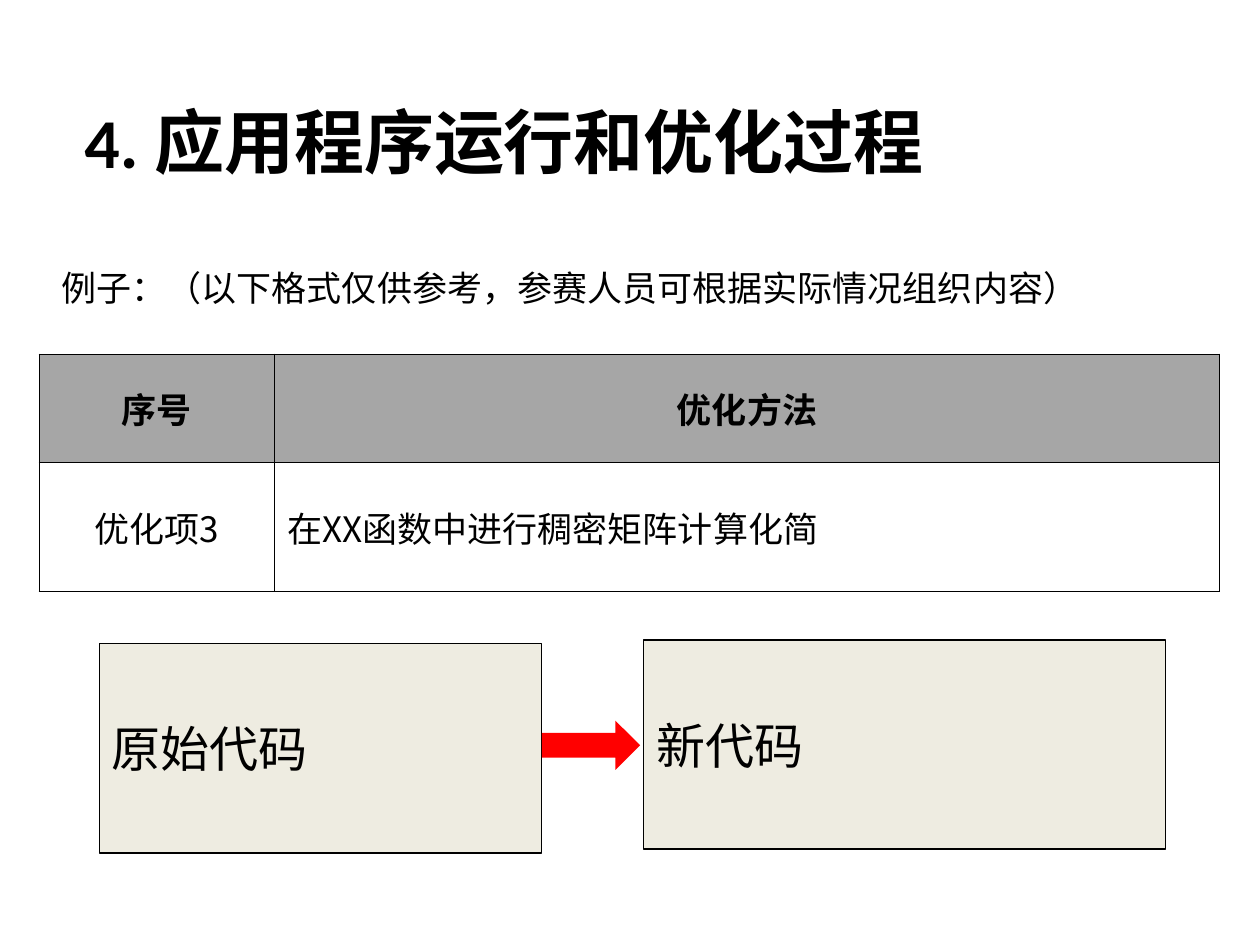
import pptx
import pptx.util
import pptx.dml.color
import pptx.enum.shapes
import pptx.enum.text
import pptx.oxml.ns
import lxml.etree

COLORS = {"ink": "000000", "paper": "FFFFFF", "header": "A6A6A6", "code": "EEECE1", "arrow": "FF0000"}
CJK_FONT = "Noto Sans CJK SC"
LATIN_FONT = "Calibri"
rgb = {part: pptx.dml.color.RGBColor.from_string(value) for part, value in COLORS.items()}
ALIGN = pptx.enum.text.PP_ALIGN
MIDDLE = pptx.enum.text.MSO_ANCHOR.MIDDLE
PRESETS = pptx.enum.shapes.MSO_SHAPE
qn = pptx.oxml.ns.qn

presentation = pptx.Presentation()
presentation.slide_width = pptx.util.Inches(10)
presentation.slide_height = pptx.util.Inches(7.5)
slide = presentation.slides.add_slide(presentation.slide_layouts[5])


def area(left, top, width, height):
    across, down = presentation.slide_width / 100, presentation.slide_height / 100
    return [int(left * across), int(top * down), int(width * across), int(height * down)]


def write(frame, text, size, latin=CJK_FONT, bold=False, align=ALIGN.LEFT):
    frame.text = text
    frame.word_wrap = True
    paragraph = frame.paragraphs[0]
    paragraph.alignment = align
    for run in paragraph.runs:
        run.font.size = pptx.util.Pt(size)
        run.font.name = latin
        run.font.bold = bold
        run.font.color.rgb = rgb["ink"]
        east_asian = lxml.etree.SubElement(run.font._element, qn("a:ea"))
        east_asian.set("typeface", CJK_FONT)
    return paragraph


heading = slide.shapes.title
heading.left, heading.top, heading.width, heading.height = area(5.7, 10.13, 90, 9.47)
write(heading.text_frame, "4. 应用程序运行和优化过程", 40, LATIN_FONT, bold=True)
heading.text_frame.vertical_anchor = MIDDLE
heading.text_frame.auto_size = pptx.enum.text.MSO_AUTO_SIZE.NONE

example = slide.shapes.add_textbox(*area(3.9, 25.33, 92.2, 8))
example_line = write(example.text_frame, "例子：（以下格式仅供参考，参赛人员可根据实际情况组织内容）", 20)
example_line.line_spacing = 1.5
example.text_frame.vertical_anchor = MIDDLE
example.text_frame.auto_size = pptx.enum.text.MSO_AUTO_SIZE.SHAPE_TO_FIT_TEXT

methods = [["序号", "优化方法"], ["优化项3", "在XX函数中进行稠密矩阵计算化简"]]
methods_table = slide.shapes.add_table(2, 2, *area(3.1, 37.47, 93.7, 25.07)).table
for column, share in zip(methods_table.columns, [18.7, 75]):
    column.width = int(presentation.slide_width * share / 100)
for row, share in zip(methods_table.rows, [11.47, 13.6]):
    row.height = int(presentation.slide_height * share / 100)

for row_index, entries in enumerate(methods):
    for column_index, entry in enumerate(entries):
        cell = methods_table.cell(row_index, column_index)
        is_header = row_index == 0
        centred = is_header or column_index == 0
        line = write(cell.text_frame, entry, 20, bold=is_header, align=ALIGN.CENTER if centred else ALIGN.LEFT)
        if not is_header and column_index == 0:
            line.space_before = line.space_after = pptx.util.Pt(6)
        cell.vertical_anchor = MIDDLE
        cell.margin_left = cell.margin_right = pptx.util.Inches(0.1)
        properties = cell._tc.get_or_add_tcPr()
        for side in ("a:lnL", "a:lnR", "a:lnT", "a:lnB"):
            border = lxml.etree.SubElement(properties, qn(side), w=str(pptx.util.Pt(0.45)))
            border_fill = lxml.etree.SubElement(border, qn("a:solidFill"))
            lxml.etree.SubElement(border_fill, qn("a:srgbClr"), val=COLORS["ink"])
        cell.fill.solid()
        cell.fill.fore_color.rgb = rgb["header" if is_header else "paper"]

blocks = [
    (PRESETS.RECTANGLE, area(7.9, 68.13, 35.1, 22.13), "code", "原始代码"),
    (PRESETS.RIGHT_ARROW, area(43, 76.27, 7.8, 5.2), "arrow", ""),
    (PRESETS.RECTANGLE, area(51.1, 67.73, 41.4, 22.13), "code", "新代码"),
]
for preset, place, color, label in blocks:
    block = slide.shapes.add_shape(preset, *place)
    block.shadow.inherit = False
    block.fill.solid()
    block.fill.fore_color.rgb = rgb[color]
    if label:
        block.line.color.rgb = rgb["ink"]
        block.line.width = pptx.util.Pt(0.75)
        write(block.text_frame, label, 28, LATIN_FONT)
        block.text_frame.vertical_anchor = MIDDLE
    else:
        block.line.fill.background()

presentation.save("out.pptx")
